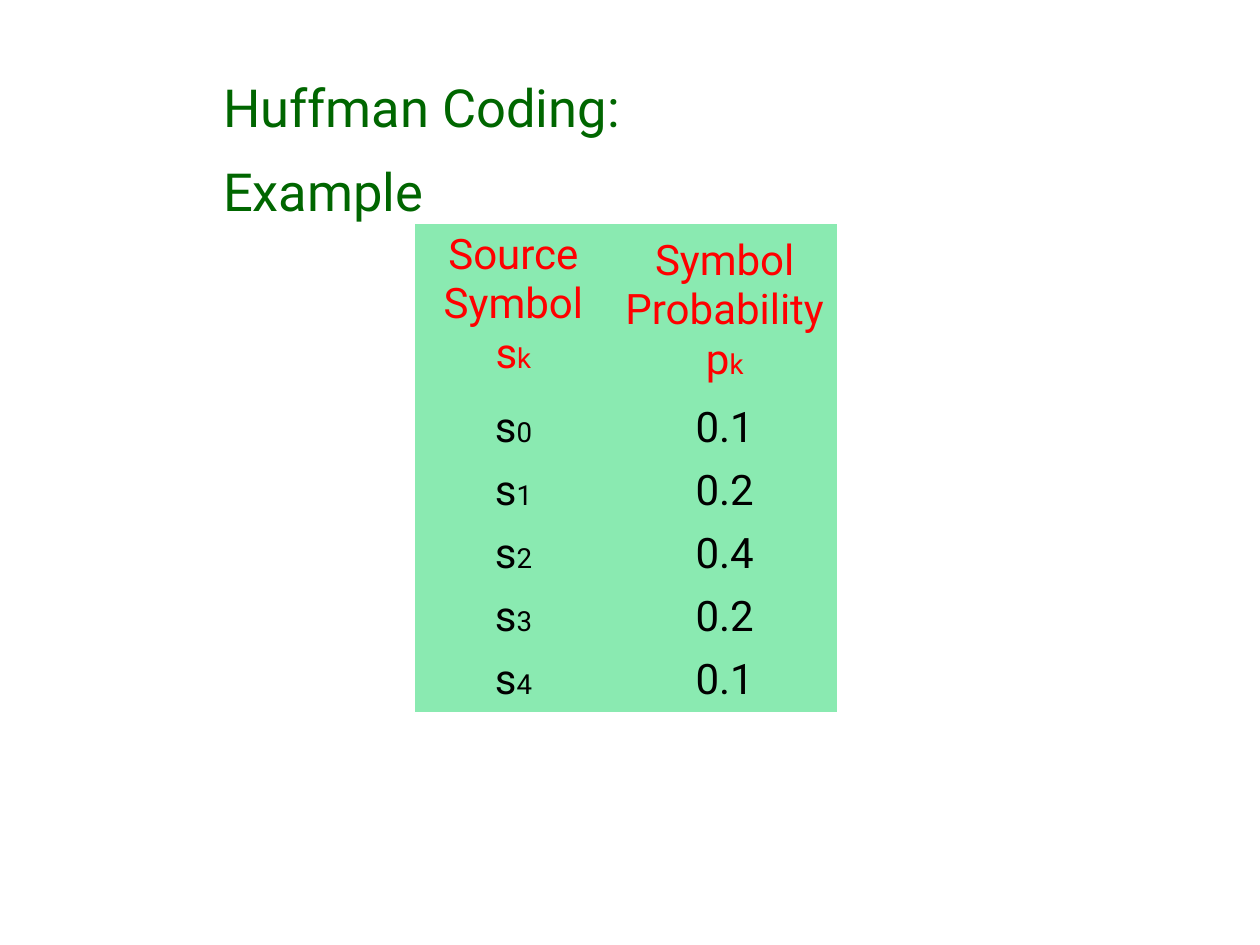
import pptx
import pptx.dml.color
import pptx.enum.text
import pptx.oxml.ns
import pptx.util

Pt = pptx.util.Pt
RGBColor = pptx.dml.color.RGBColor
PP_ALIGN = pptx.enum.text.PP_ALIGN
MSO_ANCHOR = pptx.enum.text.MSO_ANCHOR

GREEN = RGBColor(0x00, 0x66, 0x00)
RED = RGBColor(0xFF, 0x00, 0x00)
BLACK = RGBColor(0x00, 0x00, 0x00)
MINT = RGBColor(0x8A, 0xEA, 0xB1)
FONT = "Roboto"
NO_STYLE_NO_GRID = "{2D5ABB26-0587-4C30-8999-92F81FD0307C}"

TITLE = "Huffman Coding: Example"
# A cell is a list of lines; a line is its main text and its index.
HEADERS = [
    [("Source", ""), ("Symbol", ""), ("s", "k")],
    [("Symbol", ""), ("Probability", ""), ("p", "k")],
]
PROBABILITIES = ["0.1", "0.2", "0.4", "0.2", "0.1"]
ROWS = [HEADERS] + [
    [[("s", str(index))], [(probability, "")]]
    for index, probability in enumerate(PROBABILITIES)
]

TABLE_LEFT, TABLE_TOP = 236.9, 128
COLUMN_WIDTHS = [113, 128.5]
HEADER_HEIGHT, ROW_HEIGHT = 98.7, 36
TEXT_SIZE, INDEX_SIZE = 24, 15.8


def set_format(target, values):
    for name, value in values.items():
        setattr(target, name, value)


def set_font(font, size, color):
    set_format(font, {"name": FONT, "size": Pt(size), "bold": False})
    font.color.rgb = color


def add_title(slide):
    title = slide.shapes.title
    set_format(title, {"left": Pt(127.5), "top": Pt(31), "width": Pt(345.6), "height": Pt(47)})
    frame = title.text_frame
    frame.text = TITLE
    set_format(frame, {
        "margin_left": 0, "margin_top": 0, "margin_right": 0, "margin_bottom": Pt(3.6),
        "word_wrap": True, "vertical_anchor": MSO_ANCHOR.TOP,
        "auto_size": pptx.enum.text.MSO_AUTO_SIZE.SHAPE_TO_FIT_TEXT,
    })
    paragraph = frame.paragraphs[0]
    set_format(paragraph, {"alignment": PP_ALIGN.LEFT, "line_spacing": Pt(48), "space_before": Pt(0)})
    set_font(paragraph.runs[0].font, 30, GREEN)


def fill_cell(cell, lines, color):
    cell.fill.solid()
    cell.fill.fore_color.rgb = MINT
    frame = cell.text_frame
    for number, line in enumerate(lines):
        paragraph = frame.add_paragraph() if number else frame.paragraphs[0]
        paragraph.alignment = PP_ALIGN.CENTER
        for text, size in zip(line, (TEXT_SIZE, INDEX_SIZE)):
            if text:
                run = paragraph.add_run()
                run.text = text
                set_font(run.font, size, color)


def add_symbol_table(slide):
    heights = [HEADER_HEIGHT] + [ROW_HEIGHT] * len(PROBABILITIES)
    table = slide.shapes.add_table(
        len(ROWS), len(COLUMN_WIDTHS), Pt(TABLE_LEFT), Pt(TABLE_TOP),
        Pt(sum(COLUMN_WIDTHS)), Pt(sum(heights)),
    ).table
    set_format(table, {"first_row": False, "horz_banding": False})
    style = table._tbl.tblPr.find(pptx.oxml.ns.qn("a:tableStyleId"))
    style.text = NO_STYLE_NO_GRID
    for column, width in zip(table.columns, COLUMN_WIDTHS):
        column.width = Pt(width)
    for row_index, (row, height, contents) in enumerate(zip(table.rows, heights, ROWS)):
        row.height = Pt(height)
        for cell, lines in zip(row.cells, contents):
            fill_cell(cell, lines, BLACK if row_index else RED)
    table.cell(0, 1).vertical_anchor = MSO_ANCHOR.MIDDLE


def main():
    presentation = pptx.Presentation()
    set_format(presentation, {"slide_width": Pt(720), "slide_height": Pt(540)})
    slide = presentation.slides.add_slide(presentation.slide_layouts.get_by_name("Title Only"))
    add_title(slide)
    add_symbol_table(slide)
    presentation.save("out.pptx")


if __name__ == "__main__":
    main()
